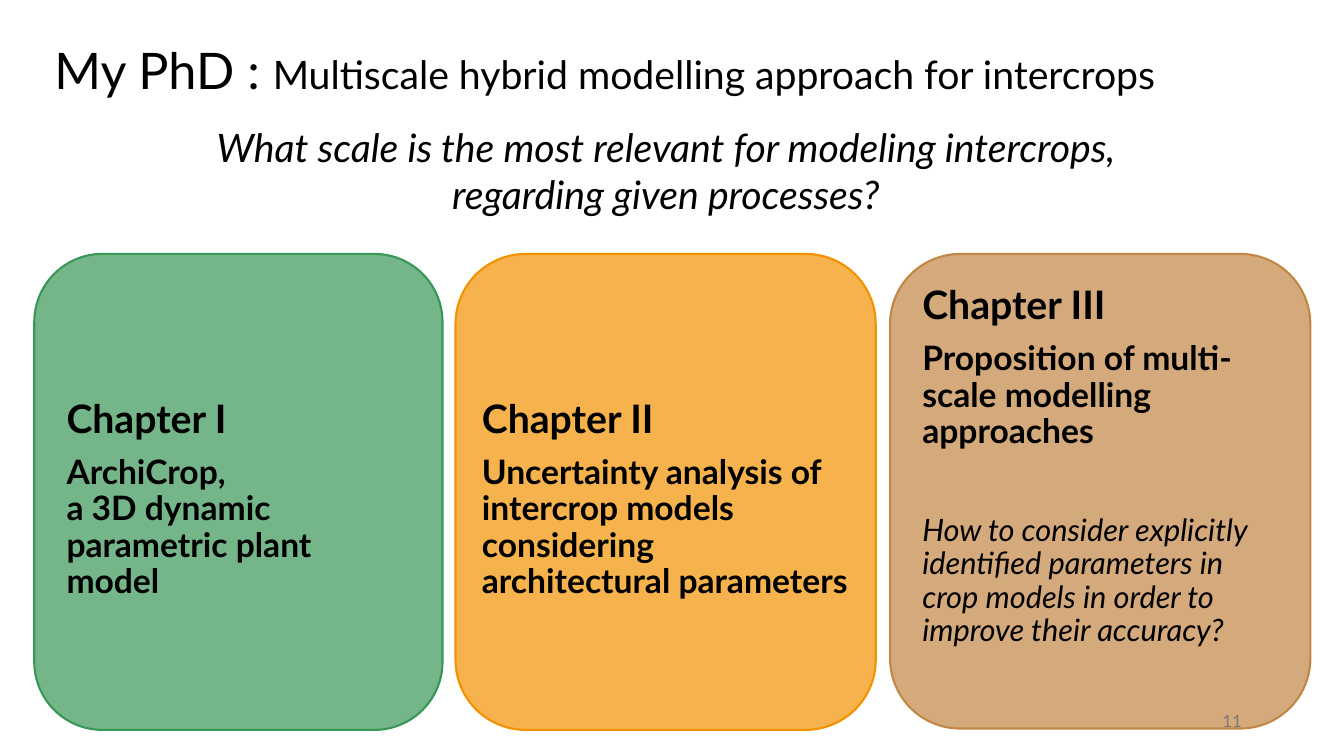
from lxml import etree
from pptx import Presentation
from pptx.dml.color import RGBColor
from pptx.enum.shapes import MSO_SHAPE
from pptx.enum.text import MSO_ANCHOR, MSO_AUTO_SIZE, PP_ALIGN
from pptx.oxml.ns import qn
from pptx.util import Pt

ROUND = MSO_SHAPE.ROUNDED_RECTANGLE
TOP, MIDDLE = MSO_ANCHOR.TOP, MSO_ANCHOR.MIDDLE
LEFT, CENTER, RIGHT = PP_ALIGN.LEFT, PP_ALIGN.CENTER, PP_ALIGN.RIGHT
FIXED = MSO_AUTO_SIZE.NONE

THEME = {
    "font": "Lato", "ink": "000000", "grey": "797979",
    "green": "399758", "orange": "F39200", "brown": "C28745",
    "title": 36, "lead": 28, "topic": 24, "aim": 22, "page": 12,
}


def place(box, left, top, width, height, anchor=TOP):
    box.left, box.top = Pt(left), Pt(top)
    box.width, box.height = Pt(width), Pt(height)
    frame = box.text_frame
    frame.word_wrap = True
    frame.auto_size = FIXED
    frame.vertical_anchor = anchor
    return frame


def style(para, size, color="ink", bold=False, italic=False,
          align=LEFT, lines=1.0, before=0):
    props = para._p.get_or_add_pPr()
    props.set("marL", "0")
    props.set("indent", "0")
    etree.SubElement(props, qn("a:buNone"))
    para.alignment = align
    para.line_spacing = lines
    para.space_before = Pt(before)
    for font in [para.font] + [run.font for run in para.runs]:
        font.name = THEME["font"]
        font.size = Pt(size)
        font.bold, font.italic = bold, italic
        font.color.rgb = RGBColor.from_string(THEME[color])


deck = Presentation()
deck.slide_width, deck.slide_height = Pt(960), Pt(540)
# The comparison layout offers a title and four bodies
slide = deck.slides.add_slide(deck.slide_layouts[4])
title, ask, *bodies = slide.placeholders

# Title
frame = place(title, 31.7, 0, 828, 104.4, MIDDLE)
frame.text = "My PhD : "
head = frame.paragraphs[0]
tail = head.add_run()
tail.text = "Multiscale hybrid modelling approach for intercrops"
style(head, THEME["title"], lines=0.9)
tail.font.size = Pt(THEME["lead"])

# Research question
frame = place(ask, 99.4, 84.2, 752.4, 75)
frame.text = ("What scale is the most relevant for modeling intercrops, "
              "regarding given processes?")
style(frame.paragraphs[0], THEME["lead"], italic=True, align=CENTER)

# Chapters: colour, card left, width and height, text box, lines of text
chapters = [
    ("green", 24.5, 291.6, 340, (40.3, 281.5, 259.2, 141),
     ["Chapter I", "ArchiCrop,\va 3D dynamic parametric plant model"]),
    ("orange", 325.4, 300.2, 340, (337, 281.5, 276.5, 162),
     ["Chapter II", "Uncertainty analysis of intercrop models "
      "considering architectural parameters"]),
    ("brown", 635.8, 300.2, 339, (651.6, 200.2, 268.6, 314),
     ["Chapter III", "Proposition of multi-scale modelling approaches",
      "How to consider explicitly identified parameters in crop models "
      "in order to improve their accuracy?"]),
]
looks = [
    {"size": THEME["lead"], "bold": True},
    {"size": THEME["topic"], "bold": True, "before": 10},
    {"size": THEME["aim"], "italic": True, "before": 46},
]
for body, (color, left, width, height, area, texts) in zip(bodies, chapters):
    card = slide.shapes.add_shape(ROUND, Pt(left), Pt(181.4),
                                  Pt(width), Pt(height))
    card.shadow.inherit = False
    tint = RGBColor.from_string(THEME[color])
    card.fill.solid()
    card.fill.fore_color.rgb = tint
    shade = card._element.spPr.find(qn("a:solidFill"))[0]
    etree.SubElement(shade, qn("a:alpha"), val="70000")
    card.line.color.rgb = tint
    card.line.width = Pt(1.5)
    # Cards lie behind the text
    card._element.getparent().insert(2, card._element)

    frame = place(body, *area)
    frame.text = "\n".join(texts)
    for para, look in zip(frame.paragraphs, looks):
        style(para, lines=0.9, **look)

# Page number
page = slide.shapes.add_textbox(0, 0, 0, 0)
frame = place(page, 678.2, 500.4, 216, 28.8, MIDDLE)
frame.text = "11"
style(frame.paragraphs[0], THEME["page"], "grey", align=RIGHT)

deck.save("out.pptx")
